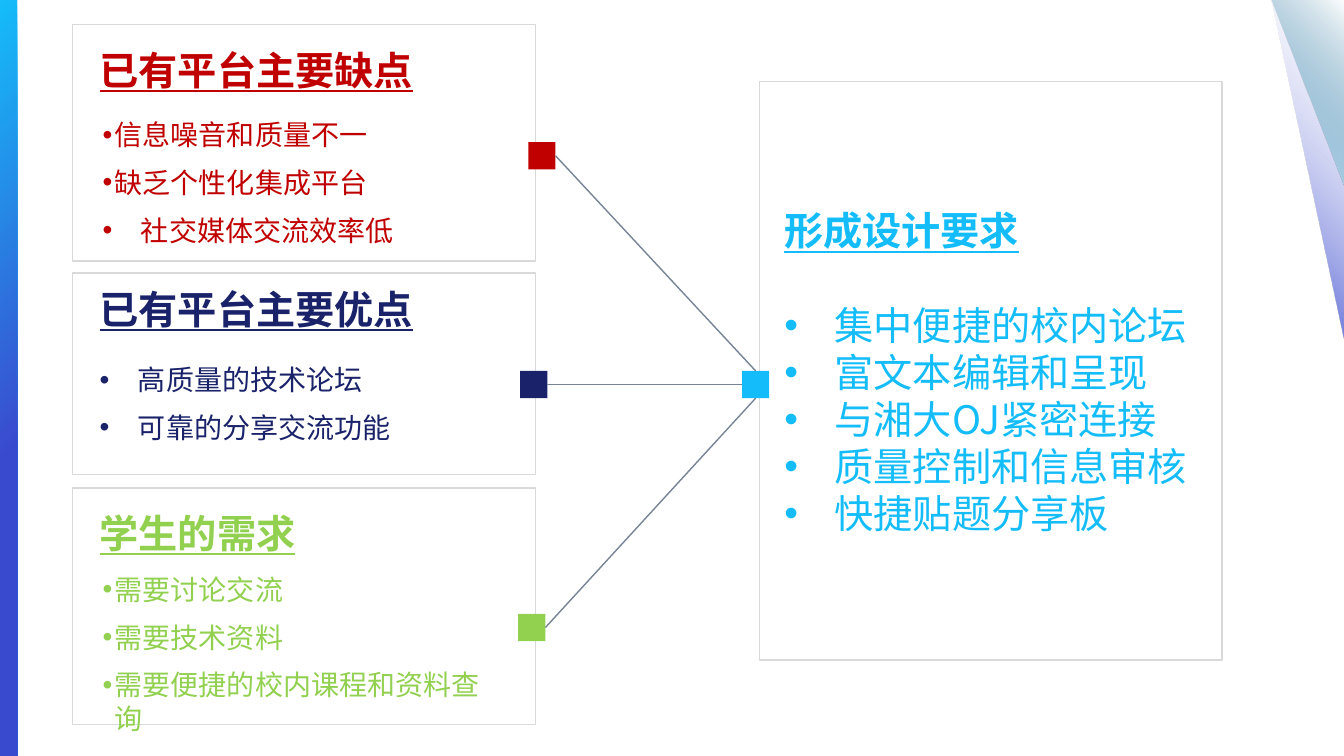
from pptx import Presentation
from pptx.dml.color import RGBColor
from pptx.enum.shapes import MSO_CONNECTOR, MSO_SHAPE
from pptx.enum.text import MSO_ANCHOR, PP_ALIGN
from pptx.oxml.ns import qn
from pptx.util import Inches, Pt
from lxml import etree

RECTANGLE = MSO_SHAPE.RECTANGLE
TRIANGLE = MSO_SHAPE.ISOSCELES_TRIANGLE
STRAIGHT = MSO_CONNECTOR.STRAIGHT
LEFT, TOP = PP_ALIGN.LEFT, MSO_ANCHOR.TOP
TOP_SIDE, LEFT_SIDE, BOTTOM_SIDE, RIGHT_SIDE = range(4)

THEME = {
    "font": "Noto Sans CJK SC",
    "heading": 28, "item": 20, "rule": 1,
    "panel": "FFFFFF", "border": "D9D9D9", "link": "778495",
    "red": "C00000", "navy": "1A236A", "green": "92D050", "cyan": "14BDFA",
}

SOURCES = [
    {"heading": "已有平台主要缺点", "color": "red", "top": 0.24, "height": 2.35,
     "heading_top": 0.41, "items_at": (0.92, 1.12), "items_height": 2.07,
     "items": [("信息噪音和质量不一", 0.12), ("缺乏个性化集成平台", 0.12),
               ("社交媒体交流效率低", 0.38)],
     "node": (5.24, 1.41), "joins": TOP_SIDE},
    {"heading": "已有平台主要优点", "color": "navy", "top": 2.71, "height": 2,
     "heading_top": 2.78, "items_at": (0.89, 3.55), "items_height": 0.91,
     "items": [("高质量的技术论坛", 0.38), ("可靠的分享交流功能", 0.38)],
     "node": (5.16, 3.68), "joins": LEFT_SIDE},
    {"heading": "学生的需求", "color": "green", "top": 4.84, "height": 2.35,
     "heading_top": 5, "items_at": (0.92, 5.63), "items_height": 1.73,
     "items": [("需要讨论交流", 0.12), ("需要技术资料", 0.12),
               ("需要便捷的校内课程和资料查询", 0.12)],
     "node": (5.14, 6.09), "joins": BOTTOM_SIDE},
]
RESULT = {
    "heading": "形成设计要求", "color": "cyan", "node": (7.36, 3.68),
    "items": ["集中便捷的校内论坛", "富文本编辑和呈现", "与湘大OJ紧密连接",
              "质量控制和信息审核", "快捷贴题分享板"],
}
CORNER_RAYS = [
    (3.41, [(0.01, "3A4ACE", None), (1, "D8DBF5", 0)]),
    (1.86, [(0.01, "D0F2FE", None), (1, "036284", 0)]),
]
EDGE_STOPS = [(0, "14BDFA", None), (0.6, "3A4ACE", None)]

PANEL_LEFT, PANEL_WIDTH = 0.72, 4.59
HEADING_LEFT, TEXT_WIDTH = 0.89, 4.19
NODE_SIZE = 0.27


def rgb(value):
    return RGBColor.from_string(THEME.get(value, value))


def add_block(slide, kind, box, color=None, border=None):
    block = slide.shapes.add_shape(kind, *map(Inches, box))
    block.shadow.inherit = False
    if color:
        block.fill.solid()
        block.fill.fore_color.rgb = rgb(color)
    if border:
        block.line.color.rgb = rgb(border)
        block.line.width = Pt(THEME["rule"])
    else:
        block.line.fill.background()
    return block


def add_gradient(block, stops):
    block.fill.gradient()
    block.fill.gradient_angle = 315
    for stop, (position, color, opacity) in zip(block.fill.gradient_stops, stops):
        stop.position = position
        stop.color.rgb = rgb(color)
        if opacity is not None:
            tint = block.fill._xPr.findall(".//" + qn("a:srgbClr"))[-1]
            etree.SubElement(tint, qn("a:alpha"), val=str(opacity))


def add_text(slide, box):
    frame = slide.shapes.add_textbox(*map(Inches, box)).text_frame
    frame.word_wrap = True
    frame.vertical_anchor = TOP
    return frame


def write(paragraph, text, size, color, **formats):
    paragraph.alignment = LEFT
    run = paragraph.add_run()
    run.text = text
    formats = {"name": THEME["font"], "size": Pt(THEME[size]), **formats}
    for key, value in formats.items():
        setattr(run.font, key, value)
    run.font.color.rgb = rgb(color)
    etree.SubElement(run._r.get_or_add_rPr(), qn("a:ea"), typeface=THEME["font"])


def write_heading(paragraph, part):
    write(paragraph, part["heading"], "heading", part["color"],
          bold=True, underline=True)


def write_item(paragraph, text, size, color, margin, hanging):
    write(paragraph, text, size, color)
    properties = paragraph._p.get_or_add_pPr()
    properties.set("marL", str(Inches(margin)))
    properties.set("indent", str(-Inches(hanging)))
    etree.SubElement(properties, qn("a:buFont"), typeface="Arial")
    etree.SubElement(properties, qn("a:buChar"), char="•")


def add_node(slide, part):
    return add_block(slide, RECTANGLE, (*part["node"], NODE_SIZE, NODE_SIZE),
                     part["color"])


def add_link(slide, start, end, side):
    link = slide.shapes.add_connector(STRAIGHT, 0, 0, 0, 0)
    link.begin_connect(start, RIGHT_SIDE)
    link.end_connect(end, side)
    link.line.color.rgb = rgb("link")
    link.line.width = Pt(THEME["rule"])
    etree.SubElement(link._element.spPr, qn("a:effectLst"))


def add_backdrop(slide):
    for height, stops in CORNER_RAYS:
        ray = add_block(slide, TRIANGLE, (12.61, 0, 0.72, height))
        ray.adjustments[0] = 1
        ray._element.spPr.find(qn("a:xfrm")).set("flipV", "1")
        add_gradient(ray, stops)
    add_gradient(add_block(slide, RECTANGLE, (-0.01, 0, 0.18, 7.5)), EDGE_STOPS)


def add_result(slide):
    add_block(slide, RECTANGLE, (7.53, 0.81, PANEL_WIDTH, 5.74), "panel", "border")
    frame = add_text(slide, (7.68, 2, 4.55, 3.98))
    write_heading(frame.paragraphs[0], RESULT)
    frame.paragraphs[0].space_after = Pt(34)
    for text in RESULT["items"]:
        write_item(frame.add_paragraph(), text, "heading", RESULT["color"], 0.5, 0.5)


def add_source(slide, source):
    add_block(slide, RECTANGLE,
              (PANEL_LEFT, source["top"], PANEL_WIDTH, source["height"]),
              "panel", "border")
    heading = add_text(slide, (HEADING_LEFT, source["heading_top"], TEXT_WIDTH, 0.57))
    write_heading(heading.paragraphs[0], source)
    frame = add_text(slide, (*source["items_at"], TEXT_WIDTH, source["items_height"]))
    for index, (text, margin) in enumerate(source["items"]):
        paragraph = frame.add_paragraph() if index else frame.paragraphs[0]
        paragraph.space_before = Pt(10)
        write_item(paragraph, text, "item", source["color"], margin, 0.38)


def main():
    deck = Presentation()
    deck.slide_width, deck.slide_height = Inches(13.33), Inches(7.5)
    slide = deck.slides.add_slide(deck.slide_layouts[6])
    add_backdrop(slide)
    add_result(slide)
    for source in SOURCES:
        add_source(slide, source)
    result_node = add_node(slide, RESULT)
    for source in SOURCES:
        add_link(slide, add_node(slide, source), result_node, source["joins"])
    deck.save("out.pptx")


if __name__ == "__main__":
    main()
